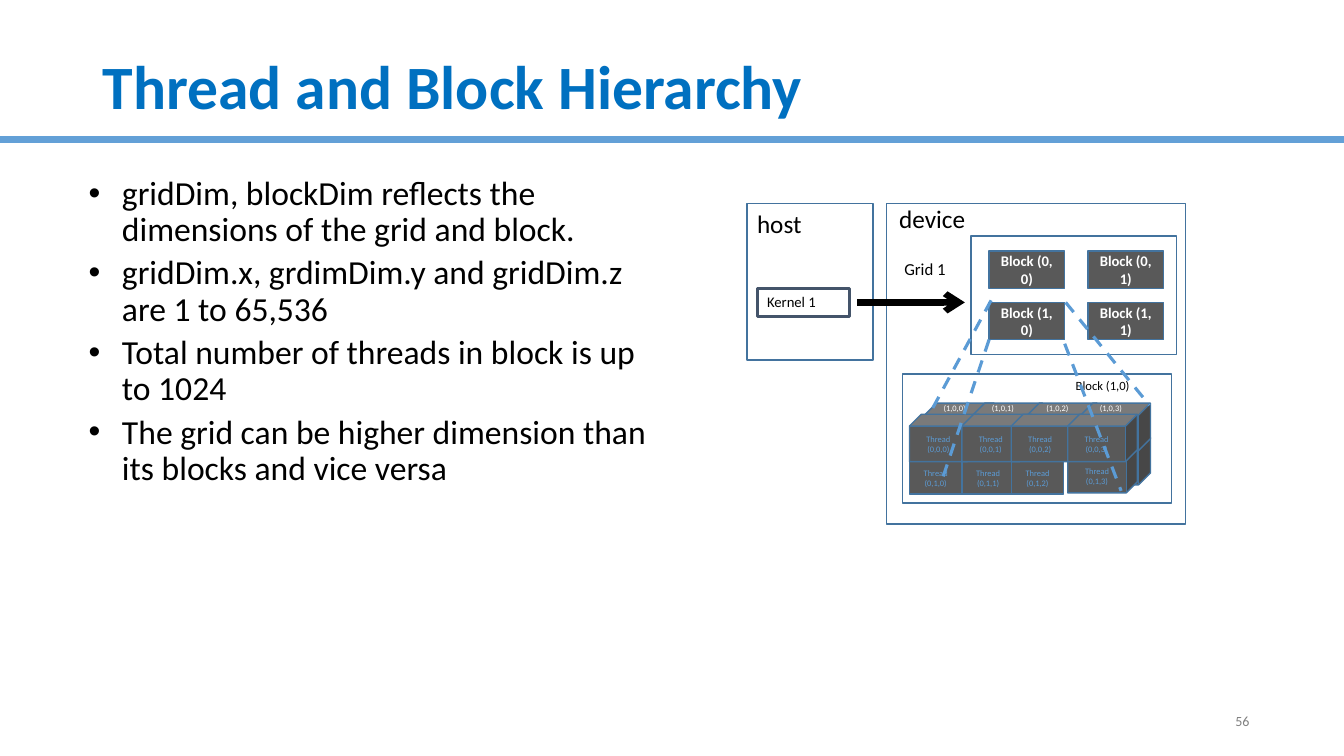
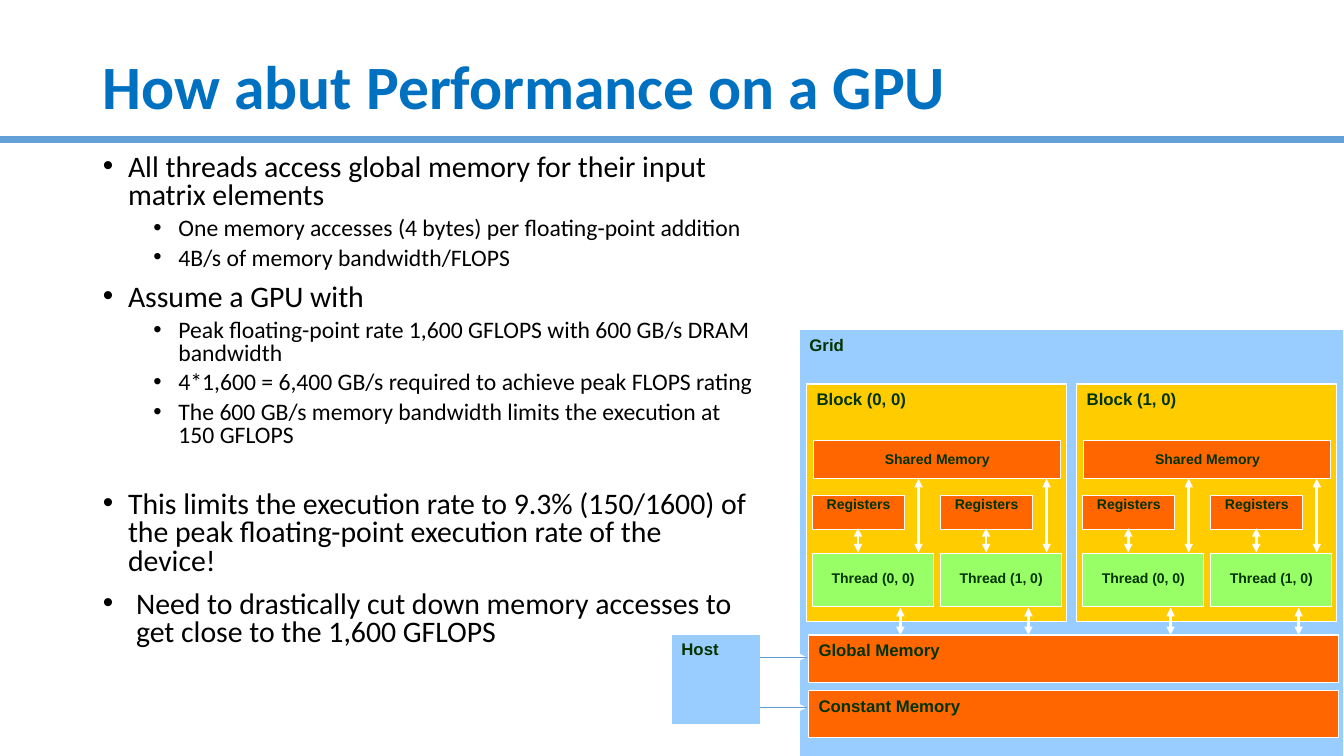
from lxml.etree import SubElement
from pptx import Presentation
from pptx.dml.color import RGBColor
from pptx.enum.dml import MSO_LINE
from pptx.enum.shapes import MSO_CONNECTOR, MSO_SHAPE
from pptx.enum.text import MSO_ANCHOR, MSO_AUTO_SIZE, PP_ALIGN
from pptx.oxml.ns import qn
from pptx.util import Inches, Pt


class Theme:
    # Fonts
    main, alt = "Calibri", "Arial"
    # Colours
    title, rule, black, white = "0070C0", "63A0D7", "000000", "FFFFFF"
    gray, dark, edge, dash, navy = "808080", "595959", "43739E", "5B9BD5", "44546A"
    sky, gold, orange, lime, ink = "99CCFF", "FFCC00", "FF6600", "99FF66", "003300"
    # Type sizes
    head, body, point, sub = 44, 24, 21.3, 16.9
    big, label, block, mem, note, page, tiny = 18, 12, 10.5, 10, 9, 10, 6


LEFT, MID = PP_ALIGN.LEFT, PP_ALIGN.CENTER
TOP, CENTER = MSO_ANCHOR.TOP, MSO_ANCHOR.MIDDLE
PAD = (0.1, 0.05, 0.1, 0.05)
SNUG = (0.1, 0.05, 0, 0.05)


def box(slide, at, text="", size=12, color=Theme.black, fill=None, edge=None,
        width=1, bold=False, font=Theme.main, align=LEFT, anchor=TOP,
        pad=PAD, kind=MSO_SHAPE.RECTANGLE):
    """Add a shape, or a text box when there is neither fill nor edge."""
    place = [Inches(v) for v in at]
    if fill or edge:
        shape = slide.shapes.add_shape(kind, *place)
        shape.shadow.inherit = False
        shape.line.color.rgb = RGBColor.from_string(edge)
        shape.line.width = Pt(width)
        if fill:
            shape.fill.solid()
            shape.fill.fore_color.rgb = RGBColor.from_string(fill)
        else:
            shape.fill.background()
    else:
        shape = slide.shapes.add_textbox(*place)
    if text:
        frame = shape.text_frame
        frame.text = text
        frame.word_wrap = True
        frame.vertical_anchor = anchor
        (frame.margin_left, frame.margin_top,
         frame.margin_right, frame.margin_bottom) = [Inches(v) for v in pad]
        for para in frame.paragraphs:
            para.alignment = align
            face = para.runs[0].font
            face.name, face.size, face.bold = font, Pt(size), bold
            face.color.rgb = RGBColor.from_string(color)


def line(slide, start, end, color, width, head=None, tail=None, dash=None):
    """Add a straight connector with optional arrowheads."""
    link = slide.shapes.add_connector(
        MSO_CONNECTOR.STRAIGHT, *[Inches(v) for v in (*start, *end)])
    link.line.color.rgb = RGBColor.from_string(color)
    link.line.width = Pt(width)
    if dash:
        link.line.dash_style = dash
    for tag, tip in (("a:headEnd", head), ("a:tailEnd", tail)):
        if tip:
            SubElement(link.line._get_or_add_ln(), qn(tag), type=tip)
    SubElement(link.element.spPr, qn("a:effectLst"))
    return link


deck = Presentation()
deck.slide_width, deck.slide_height = Inches(13.33), Inches(7.5)
layout = deck.slide_layouts[1]

# Bullet styles: size, indent, hang, line spacing, space before
PLAIN = (Theme.body, 0.8, 0.33, 0.9, 5)
POINT = (Theme.point, 0.25, 0.25, 0.8, 10)
SUB = (Theme.sub, 0.75, 0.25, 0.8, 5)
AFTER = (Theme.point, 0.25, 0.25, 0.8, 31)
LAST = (Theme.point, 0.33, 0.33, 0.8, 10)

pages = [
    ("Thread and Block Hierarchy", (0.31, 1.7, 6.33, 5.27), [
        (PLAIN, "gridDim, blockDim reflects the dimensions of the grid and block."),
        (PLAIN, "gridDim.x, grdimDim.y and gridDim.z are 1 to 65,536"),
        (PLAIN, "Total number of threads in block is up to 1024"),
        (PLAIN, "The grid can be higher dimension than its blocks and vice versa"),
    ]),
    ("How abut Performance on a GPU", (0.92, 1.48, 6.65, 5.27), [
        (POINT, "All threads access global memory for their input matrix elements"),
        (SUB, "One memory accesses (4 bytes) per floating-point addition"),
        (SUB, "4B/s of memory bandwidth/FLOPS"),
        (POINT, "Assume a GPU with"),
        (SUB, "Peak floating-point rate 1,600 GFLOPS with 600 GB/s DRAM bandwidth"),
        (SUB, "4*1,600 = 6,400 GB/s required to achieve peak FLOPS rating"),
        (SUB, "The 600 GB/s memory bandwidth limits the execution at 150 GFLOPS"),
        (AFTER, "This limits the execution rate to 9.3% (150/1600) of the peak "
                "floating-point execution rate of the device!"),
        (LAST, "Need to drastically cut down memory accesses to get close to "
               "the 1,600 GFLOPS"),
    ]),
]

# Titles and bullet lists
slides = []
for name, area, items in pages:
    slide = deck.slides.add_slide(layout)
    slides.append(slide)
    title, body = slide.placeholders
    for holder, at in ((title, (0.92, 0.4, 11.5, 0.98)), (body, area)):
        (holder.left, holder.top,
         holder.width, holder.height) = [Inches(v) for v in at]
        holder.text_frame.auto_size = MSO_AUTO_SIZE.NONE
    title.text_frame.text = name
    title.text_frame.vertical_anchor = CENTER
    para = title.text_frame.paragraphs[0]
    para.alignment, para.line_spacing = LEFT, 0.9
    face = para.runs[0].font
    face.name, face.size, face.bold = Theme.main, Pt(Theme.head), True
    face.color.rgb = RGBColor.from_string(Theme.title)

    body.text_frame.text = "\n".join(text for _, text in items)
    for para, (style, _) in zip(body.text_frame.paragraphs, items):
        size, indent, hang, space, before = style
        para.level = 1 if style in (PLAIN, SUB) else 0
        para.line_spacing, para.space_before = space, Pt(before)
        props = para._p.get_or_add_pPr()
        props.set("marL", str(Inches(indent)))
        props.set("indent", str(-Inches(hang)))
        SubElement(props, qn("a:buChar"), char="•")
        face = para.runs[0].font
        face.name, face.size = Theme.main, Pt(size)
        face.color.rgb = RGBColor.from_string(Theme.black)

# Rule under the title, kept on the shared layout
rule = line(slides[0], (0, 1.38), (13.33, 1.38), Theme.rule, 5)
layout.shapes.element.append(rule.element)

# Slide 1: host, device and grid
tree, mem = slides
box(tree, (9.49, 6.95, 3, 0.4), "56", Theme.page, Theme.gray,
    align=PP_ALIGN.RIGHT, anchor=CENTER)
frames = [(7.41, 2.02, 1.25, 1.55), (8.79, 2.02, 2.97, 3.18),
          (9.63, 2.34, 2.04, 1.18), (8.95, 3.71, 2.67, 1.28)]
for at in frames:
    box(tree, at, fill=Theme.white, edge=Theme.edge)
labels = [("host", (7.41, 2.02, 0.81, 0.4), Theme.big),
          ("device", (8.82, 1.97, 1.12, 0.4), Theme.big),
          ("Grid 1", (8.87, 2.52, 0.81, 0.3), Theme.label),
          ("Block (1,0)", (10.57, 3.7, 0.81, 0.25), Theme.note)]
for text, at, size in labels:
    box(tree, at, text, size, pad=SNUG)
box(tree, (7.51, 2.86, 0.92, 0.28), "Kernel 1", Theme.block,
    edge=Theme.navy, width=2.25, pad=SNUG)

solid = dict(fill=Theme.dark, edge=Theme.edge, align=MID, anchor=CENTER)
for row, y in enumerate((2.49, 3)):
    for col, x in enumerate((9.81, 10.79)):
        box(tree, (x, y, 0.75, 0.37), f"Block ({row}, {col})", Theme.block,
            Theme.white, bold=True, **solid)

# Threads of one block, from back to front
front = (9.02, 9.54, 10.03, 10.59)
back = (9.17, 9.65, 10.19, 10.72)
cube = dict(solid, kind=MSO_SHAPE.CUBE)
box(tree, (back[3], 4.34, 0.69, 0.47), **cube)
box(tree, (front[3], 4.45, 0.69, 0.44), "Thread\n(0,1,3)", Theme.tiny,
    Theme.dash, **cube)
for col, x in enumerate(front[:3]):
    box(tree, (x, 4.58, 0.52, 0.32), f"Thread\n(0,1,{col})", Theme.tiny,
        Theme.dash, **solid)
for x in back:
    box(tree, (x, 4, 0.69, 0.47), **cube)
for col, x in enumerate(front):
    box(tree, (x, 4.11, 0.69, 0.47), f"Thread\n(0,0,{col})", Theme.tiny,
        Theme.dash, **cube)
for col, x in enumerate(back):
    box(tree, (x + 0.09, 3.95, 0.46, 0.2), f"(1,0,{col})", Theme.tiny,
        Theme.white, pad=SNUG)

# Zoom lines and launch arrow
zooms = [((9.83, 2.98), (9.25, 4.05)), ((10.56, 3.41), (11.12, 4.87)),
         ((9.81, 3.37), (9.33, 4.8)), ((10.57, 3), (11.4, 4.02))]
for start, end in zooms:
    line(tree, start, end, Theme.dash, 2.25, dash=MSO_LINE.DASH)
line(tree, (8.5, 3), (9.57, 3), Theme.black, 4.5, tail="arrow")

# Slide 2: grid, host and device memories
part = dict(color=Theme.ink, edge=Theme.white, width=0.75, bold=True,
            font=Theme.alt)
arrow = dict(color=Theme.white, width=2, head="triangle", tail="triangle")
areas = [("Grid", (7.93, 3.27, 5.4, 4.33), Theme.sky),
         ("Host", (6.66, 6.29, 0.88, 0.9), Theme.sky),
         ("Global Memory", (8.02, 6.3, 5.26, 0.47), Theme.orange),
         ("Constant Memory", (8.02, 6.85, 5.26, 0.47), Theme.orange)]
for text, at, fill in areas:
    box(mem, at, text, Theme.label, fill=fill, **part)
for y in (6.52, 7.02):
    line(mem, (7.54, y), (8, y), **arrow)
    line(mem, (7.54, y), (8, y), Theme.dash, 0.5)

# Blocks with their shared memory, registers and threads
for block in range(2):
    x = 8 + 2.68 * block
    box(mem, (x, 3.81, 2.58, 2.36), f"Block ({block}, 0)", Theme.label,
        fill=Theme.gold, **part)
    box(mem, (x + 0.07, 4.37, 2.45, 0.38), "Shared Memory", Theme.mem,
        fill=Theme.orange, align=MID, pad=(0, 0.1, 0, 0), **part)
    for thread in range(2):
        left = x + 0.06 + 1.27 * thread
        box(mem, (left, 5.49, 1.2, 0.53), f"Thread ({thread}, 0)", Theme.mem,
            fill=Theme.lime, align=MID, pad=(0, 0.16, 0, 0), **part)
        box(mem, (left, 4.92, 0.91, 0.33), "Registers", Theme.mem,
            fill=Theme.orange, align=MID, pad=(0, 0, 0, 0), **part)
        for shift, low, high in ((1.05, 5.48, 4.75), (0.45, 5.48, 5.24),
                                 (0.87, 6.03, 6.3)):
            line(mem, (left + shift, low), (left + shift, high), **arrow)

deck.save("out.pptx")
